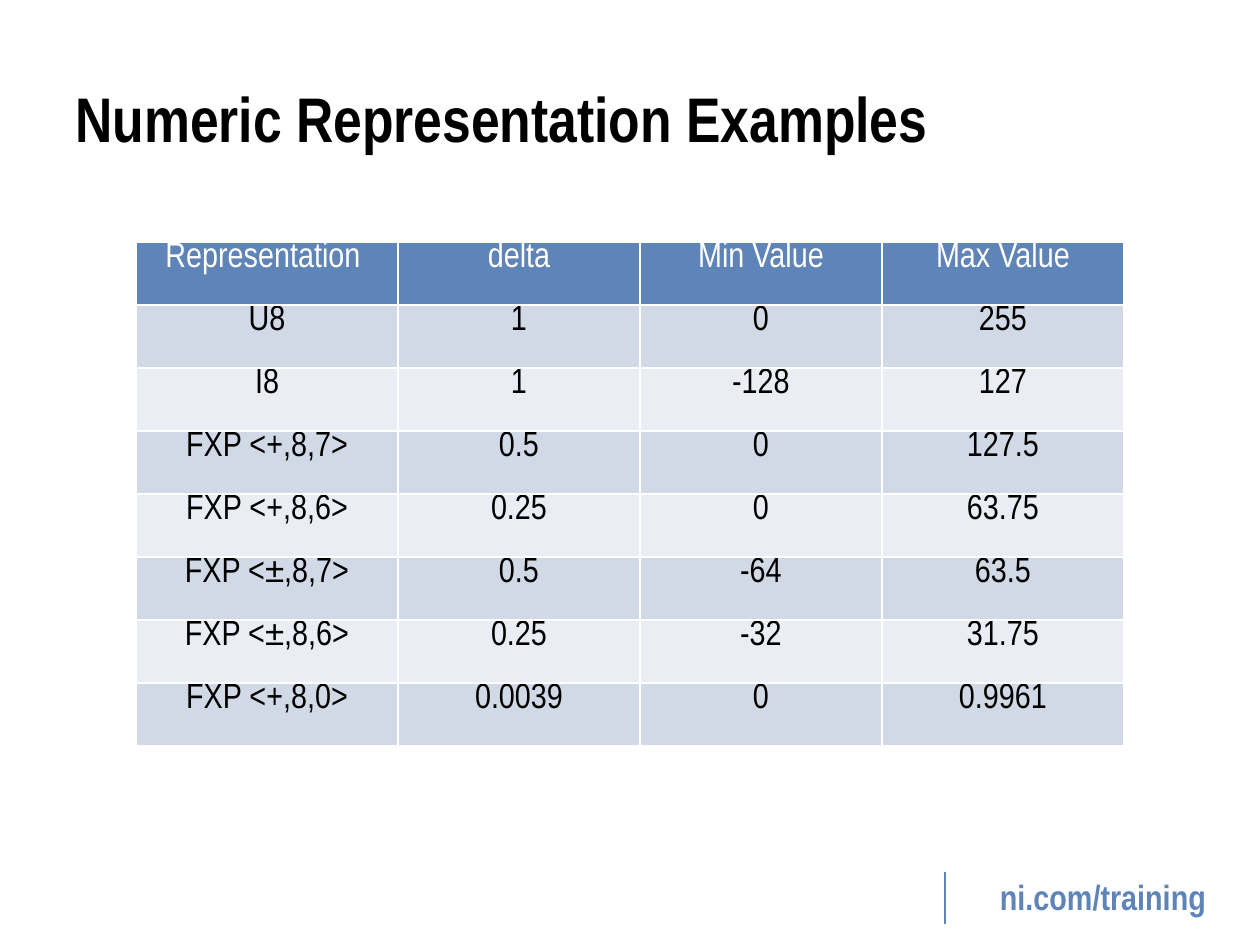
from lxml import etree
from pptx import Presentation
from pptx import util as u
from pptx.dml import color
from pptx.enum import shapes, text
from pptx.oxml import ns

FONT = "Arial Narrow"
BLUE, WHITE, BLACK = "5E84B8", "FFFFFF", "000000"
BANDS = ("D2D9E6", "EAEDF3")
ROWS = [
    ("Representation ", "delta", "Min Value", "Max Value"),
    ("U8", "1", "0", "255"),
    ("I8", "1", "-128", "127"),
    ("FXP <+,8,7>", "0.5", "0", "127.5"),
    ("FXP <+,8,6>", "0.25", "0", "63.75"),
    ("FXP <±,8,7>", "0.5", "-64", "63.5"),
    ("FXP <±,8,6>", "0.25", "-32", "31.75"),
    ("FXP <+,8,0>", "0.0039", "0", "0.9961"),
]


def px(length):
    return u.Emu(round(length * 914400 / 126))


def rgb(value):
    return color.RGBColor.from_string(value)


def write(frame, words, size, tint, bold, align):
    frame.text = words
    para = frame.paragraphs[0]
    para.alignment = align
    for span in para.runs:
        span.font.name = FONT
        span.font.size = u.Pt(size)
        span.font.bold = bold
        span.font.color.rgb = rgb(tint)


def add_title(page, left, top, width, height):
    box = page.shapes.add_textbox(px(left), px(top), px(width), px(height))
    box.text_frame.word_wrap = True
    box.text_frame.vertical_anchor = text.MSO_ANCHOR.MIDDLE
    write(box.text_frame, "Numeric Representation Examples", 36, BLACK, True,
          text.PP_ALIGN.LEFT)


def add_borders(cell, tint, points):
    properties = cell._tc.get_or_add_tcPr()
    for index, side in enumerate(("lnL", "lnR", "lnT", "lnB")):
        line = etree.Element(ns.qn("a:" + side), w=str(u.Pt(points)))
        fill = etree.SubElement(line, ns.qn("a:solidFill"))
        etree.SubElement(fill, ns.qn("a:srgbClr"), val=tint)
        properties.insert(index, line)


def add_examples(page, left, top, widths, row_height):
    frame = page.shapes.add_table(
        len(ROWS), len(widths), px(left), px(top),
        px(sum(widths)), px(row_height * len(ROWS)))
    table = frame.table
    for column, width in zip(table.columns, widths):
        column.width = px(width)
    for number, values in enumerate(ROWS):
        header = number == 0
        table.rows[number].height = px(row_height)
        for column, value in enumerate(values):
            cell = table.cell(number, column)
            cell.margin_top = cell.margin_bottom = 0
            cell.fill.solid()
            cell.fill.fore_color.rgb = rgb(BLUE if header else BANDS[(number - 1) % 2])
            add_borders(cell, WHITE, 1)
            write(cell.text_frame, value, 20, WHITE if header else BLACK,
                  False, text.PP_ALIGN.CENTER)


def add_footer(page, left, top, width, height):
    rule = page.shapes.add_connector(
        shapes.MSO_CONNECTOR.STRAIGHT,
        px(left), px(top + 3), px(left), px(top + height))
    rule.line.color.rgb = rgb(BLUE)
    rule.line.width = u.Pt(1.5)
    etree.SubElement(rule._element.spPr, ns.qn("a:effectLst"))
    box = page.shapes.add_textbox(px(left + 21), px(top), px(width - 21), px(height))
    box.text_frame.word_wrap = True
    write(box.text_frame, "ni.com/training", 20, BLUE, True, text.PP_ALIGN.CENTER)


def main():
    deck = Presentation()
    deck.slide_width, deck.slide_height = px(1260), px(945)
    page = deck.slides.add_slide(deck.slide_layouts[6])
    add_footer(page, 945, 869, 295, 55)
    add_title(page, 63, 38, 1134, 158)
    add_examples(page, 136, 242, (262, 242, 242, 242), 63)
    deck.save("out.pptx")


if __name__ == "__main__":
    main()
